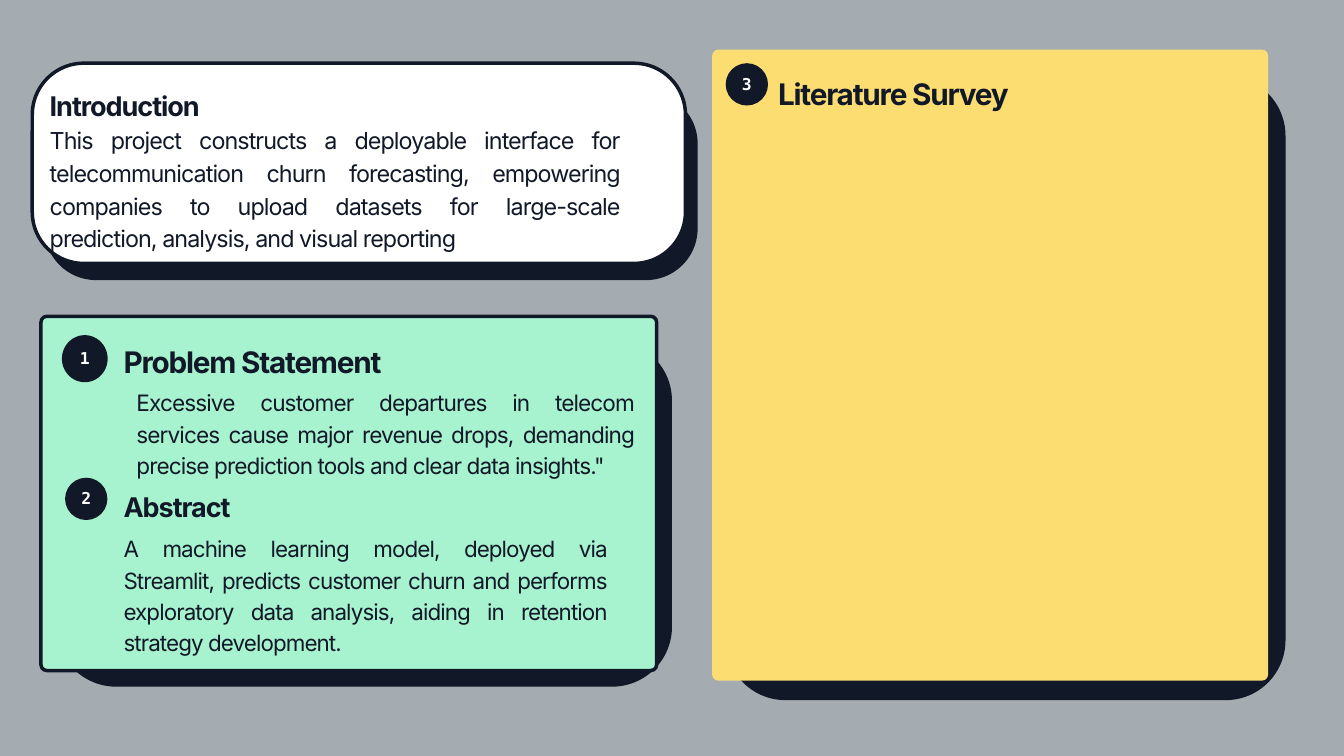
"""Build the churn forecasting overview slide with three cards."""
from pptx import Presentation
from pptx.dml.color import RGBColor
from pptx.enum.shapes import MSO_SHAPE
from pptx.enum.text import MSO_ANCHOR, MSO_AUTO_SIZE, PP_ALIGN
from pptx.util import Cm, Pt

ROUNDED, OVAL = MSO_SHAPE.ROUNDED_RECTANGLE, MSO_SHAPE.OVAL
LEFT, CENTER, JUSTIFY = PP_ALIGN.LEFT, PP_ALIGN.CENTER, PP_ALIGN.JUSTIFY
TOP, MIDDLE = MSO_ANCHOR.TOP, MSO_ANCHOR.MIDDLE
NO_AUTOFIT = MSO_AUTO_SIZE.NONE

GREY = RGBColor(0xA5, 0xAC, 0xB1)
NAVY = RGBColor(0x11, 0x18, 0x27)
WHITE = RGBColor(0xFF, 0xFF, 0xFF)
MINT = RGBColor(0xA7, 0xF3, 0xD0)
YELLOW = RGBColor(0xFC, 0xDD, 0x72)

SANS, MONO = "Inter", "DejaVu Sans Mono"

# box in cm, corner radius in cm, fill, outlined
CARDS = [
    ((1.68, 3.48, 24.69, 7.11), 1.95, NAVY, False),
    ((1.22, 2.39, 24.69, 7.57), 1.95, WHITE, True),
    ((2.13, 12.88, 23.27, 13.08), 2.26, NAVY, False),
    ((1.55, 11.96, 23.27, 13.39), 0.22, MINT, True),
    ((27.43, 2.87, 21.16, 23.6), 2.26, NAVY, False),
    ((26.92, 1.88, 21.01, 23.85), 0.22, YELLOW, False),
]

BADGES = [
    ("1", (2.34, 12.67, 1.73, 1.78)),
    ("2", (2.46, 18.06, 1.6, 1.6)),
    ("3", (27.43, 2.39, 1.6, 1.6)),
]

STYLES = {
    "title": dict(size=31.8, leading=44.6, tracking=-130, bold=True),
    "heading": dict(size=29, leading=40.6, tracking=-115, bold=True),
    "intro": dict(size=25, leading=35, tracking=-100, align=JUSTIFY),
    "problem": dict(size=24.2, leading=34, tracking=-100, align=JUSTIFY),
    "abstract": dict(size=24, leading=33.6, tracking=-100, align=JUSTIFY),
    "badge": dict(size=17.5, leading=19.3, tracking=30, bold=True,
                  align=CENTER, font=MONO, color=WHITE),
}

SLIDE_TITLE = ((4.67, 12.78, 11.63, 1.5), [("title", "Problem Statement")])

TEXTS = [
    ((1.88, 3.18, 21.54, 7.52), [
        ("heading", "Introduction"),
        ("intro", "This project constructs a deployable interface for "
                  "telecommunication churn forecasting, empowering companies "
                  "to upload datasets for large-scale prediction, analysis, "
                  "and visual reporting"),
    ]),
    ((5.16, 14.53, 18.8, 3.53), [
        ("problem", "Excessive customer departures in telecom services cause "
                    "major revenue drops, demanding precise prediction tools "
                    "and clear data insights.\""),
    ]),
    ((4.67, 18.34, 16.23, 1.4), [("heading", "Abstract")]),
    ((4.67, 20.07, 18.26, 4.62), [
        ("abstract", "A machine learning model, deployed via Streamlit, "
                     "predicts customer churn and performs exploratory data "
                     "analysis, aiding in retention strategy development."),
    ]),
    ((29.41, 2.64, 11.63, 1.5), [("title", "Literature Survey")]),
]


def lengths(box):
    return [Cm(value) for value in box]


def format_paragraph(paragraph, size, leading, tracking, bold=False,
                     align=LEFT, font=SANS, color=NAVY):
    paragraph.alignment = align
    paragraph.line_spacing = Pt(leading)
    paragraph.space_before = paragraph.space_after = Pt(0)
    for run in paragraph.runs:
        run.font.name = font
        run.font.size = Pt(size)
        run.font.bold = bold
        run.font.color.rgb = color
        run.font._element.set("spc", str(tracking))


def fill_text(shape, entries, anchor=TOP):
    frame = shape.text_frame
    frame.word_wrap = True
    frame.auto_size = NO_AUTOFIT
    frame.vertical_anchor = anchor
    frame.margin_left = frame.margin_right = Cm(0)
    frame.margin_top = frame.margin_bottom = Cm(0)
    frame.text = "\n".join(text for _, text in entries)
    for paragraph, (style, _) in zip(frame.paragraphs, entries):
        format_paragraph(paragraph, **STYLES[style])


def add_panel(slide, preset, box, fill, outlined=False):
    panel = slide.shapes.add_shape(preset, *lengths(box))
    panel.shadow.inherit = False
    panel.fill.solid()
    panel.fill.fore_color.rgb = fill
    if outlined:
        panel.line.color.rgb = NAVY
        panel.line.width = Pt(3.75)
    else:
        panel.line.fill.background()
    return panel


def main():
    presentation = Presentation()
    presentation.slide_width, presentation.slide_height = Cm(50.8), Cm(28.58)
    slide = presentation.slides.add_slide(presentation.slide_layouts[5])
    slide.background.fill.solid()
    slide.background.fill.fore_color.rgb = GREY

    for box, radius, fill, outlined in CARDS:
        card = add_panel(slide, ROUNDED, box, fill, outlined)
        card.adjustments[0] = radius / min(box[2:])

    title = slide.shapes.title
    box, entries = SLIDE_TITLE
    title.left, title.top, title.width, title.height = lengths(box)
    fill_text(title, entries)
    slide.shapes._spTree.append(title._element)

    for box, entries in TEXTS:
        fill_text(slide.shapes.add_textbox(*lengths(box)), entries)

    for number, box in BADGES:
        badge = add_panel(slide, OVAL, box, NAVY)
        fill_text(badge, [("badge", number)], MIDDLE)

    presentation.save("out.pptx")


if __name__ == "__main__":
    main()
